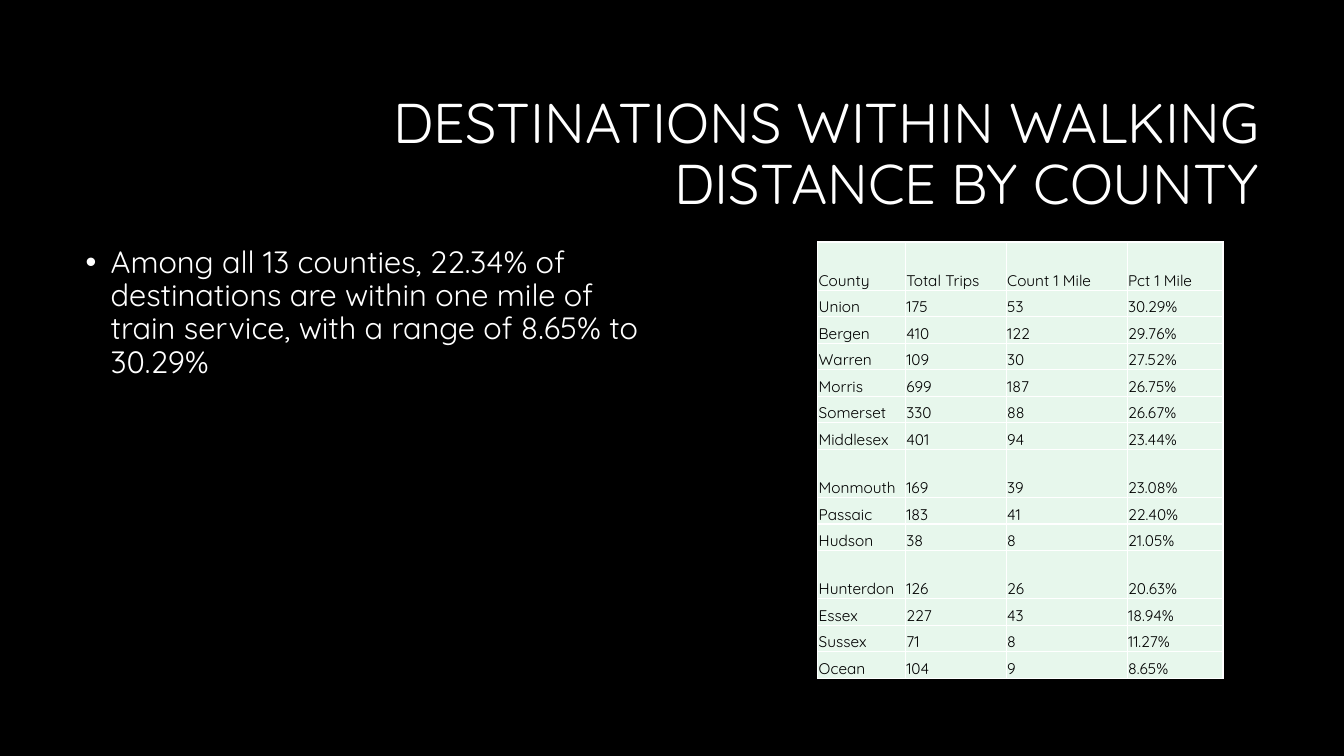
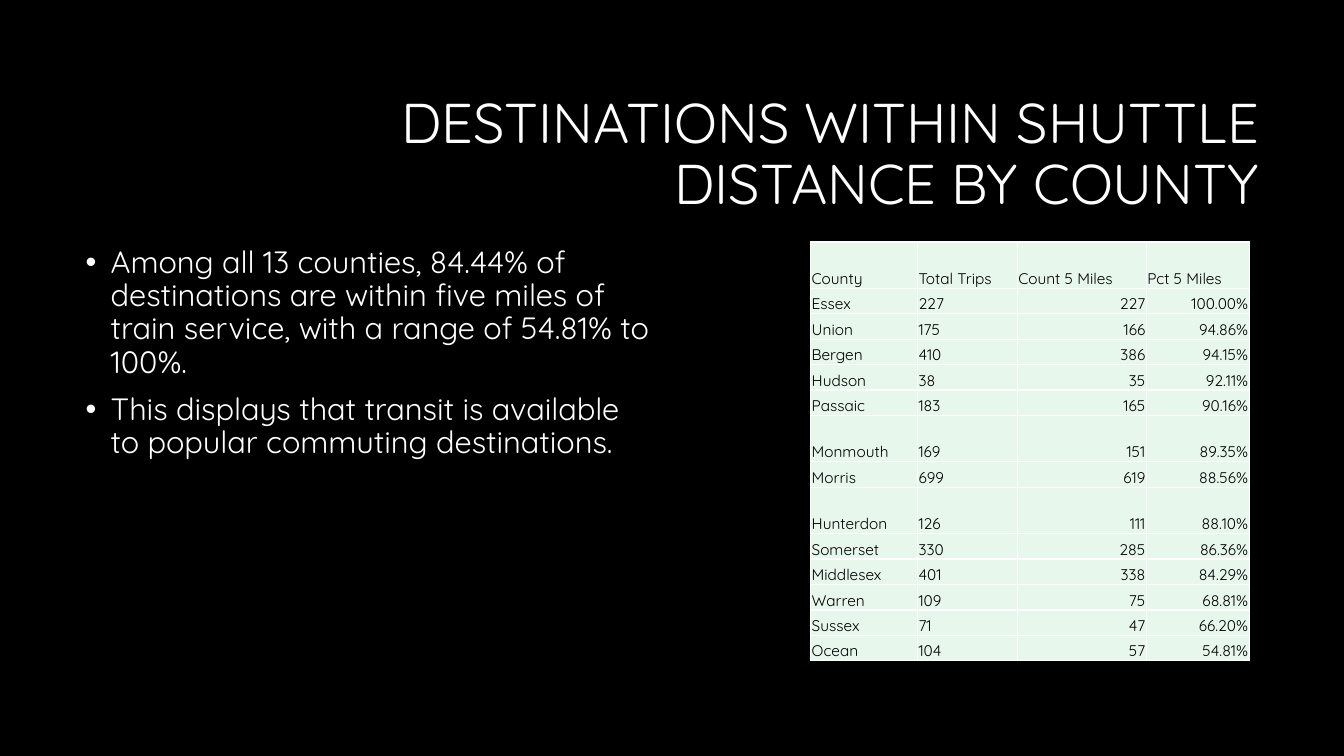
from dataclasses import dataclass

from lxml.etree import SubElement
from pptx import Presentation
from pptx.dml.color import RGBColor
from pptx.enum.text import MSO_ANCHOR, MSO_AUTO_SIZE, PP_ALIGN
from pptx.oxml.ns import qn
from pptx.presentation import Presentation as Deck
from pptx.slide import Slide
from pptx.table import _Cell as Cell
from pptx.text.text import _Paragraph as Paragraph
from pptx.util import Emu, Pt

EMU_PER_PX = 9144


@dataclass(frozen=True)
class Theme:
    font: str = "Quicksand"
    background: RGBColor = RGBColor(0x00, 0x00, 0x00)
    text: RGBColor = RGBColor(0xFF, 0xFF, 0xFF)
    cell_fill: RGBColor = RGBColor(0xE7, 0xF7, 0xEC)
    cell_text: RGBColor = RGBColor(0x00, 0x00, 0x00)
    border: RGBColor = RGBColor(0xFF, 0xFF, 0xFF)
    title_size: int = 40
    body_size: int = 22
    cell_size: int = 11
    border_width: int = 1
    line_spacing: float = 0.9
    bullet_space: int = 10


@dataclass(frozen=True)
class Box:
    left: int
    top: int
    width: int
    height: int


@dataclass(frozen=True)
class CountyTable:
    box: Box
    columns: tuple[int, ...]
    tall_row: int
    headings: tuple[str, ...]
    alignments: tuple[PP_ALIGN, ...]
    counts: dict[str, int]


@dataclass(frozen=True)
class CountySlide:
    title: str
    bullets: tuple[str, ...]
    table: CountyTable


THEME = Theme()
SLIDE_WIDTH, SLIDE_HEIGHT = 1333, 750
TITLE_BOX = Box(317, 84, 942, 141)
BODY_BOX = Box(75, 240, 583, 440)
BULLET_INDENT = 25
CELL_MARGIN = 1
TALL_ROWS = ("County", "Monmouth", "Hunterdon")
LEFT, RIGHT = PP_ALIGN.LEFT, PP_ALIGN.RIGHT

TOTAL_TRIPS = {
    "Union": 175, "Bergen": 410, "Warren": 109, "Morris": 699, "Somerset": 330,
    "Middlesex": 401, "Monmouth": 169, "Passaic": 183, "Hudson": 38,
    "Hunterdon": 126, "Essex": 227, "Sussex": 71, "Ocean": 104,
}

SLIDES = (
    CountySlide(
        "DESTINATIONS WITHIN WALKING DISTANCE BY COUNTY",
        ("Among all 13 counties, 22.34% of destinations are within one mile of "
         "train service, with a range of 8.65% to 30.29%",),
        CountyTable(
            Box(811, 240, 402, 433), (87, 100, 120, 95), 48,
            ("County", "Total Trips", "Count 1 Mile", "Pct 1 Mile"),
            (LEFT, LEFT, LEFT, LEFT),
            {"Union": 53, "Bergen": 122, "Warren": 30, "Morris": 187,
             "Somerset": 88, "Middlesex": 94, "Monmouth": 39, "Passaic": 41,
             "Hudson": 8, "Hunterdon": 26, "Essex": 43, "Sussex": 8, "Ocean": 9},
        ),
    ),
    CountySlide(
        "DESTINATIONS WITHIN SHUTTLE DISTANCE BY COUNTY",
        ("Among all 13 counties, 84.44% of destinations are within five miles of "
         "train service, with a range of 54.81% to 100%.",
         "This displays that transit is available to popular commuting destinations."),
        CountyTable(
            Box(804, 240, 435, 416), (106, 99, 128, 102), 46,
            ("County", "Total Trips", "Count 5 Miles", "Pct 5 Miles"),
            (LEFT, LEFT, RIGHT, RIGHT),
            {"Essex": 227, "Union": 166, "Bergen": 386, "Hudson": 35,
             "Passaic": 165, "Monmouth": 151, "Morris": 619, "Hunterdon": 111,
             "Somerset": 285, "Middlesex": 338, "Warren": 75, "Sussex": 47,
             "Ocean": 57},
        ),
    ),
)


def px(length: float) -> Emu:
    return Emu(round(length * EMU_PER_PX))


def edges(box: Box) -> tuple[Emu, ...]:
    return px(box.left), px(box.top), px(box.width), px(box.height)


def add_run(paragraph: Paragraph, text: str, size: int, color: RGBColor) -> None:
    run = paragraph.add_run()
    run.text = text
    run.font.name = THEME.font
    run.font.size = Pt(size)
    run.font.color.rgb = color


def add_title(slide: Slide, text: str) -> None:
    title = slide.shapes.title
    title.left, title.top, title.width, title.height = edges(TITLE_BOX)
    frame = title.text_frame
    frame.auto_size = MSO_AUTO_SIZE.NONE
    frame.vertical_anchor = MSO_ANCHOR.MIDDLE
    paragraph = frame.paragraphs[0]
    paragraph.alignment = RIGHT
    paragraph.line_spacing = THEME.line_spacing
    add_run(paragraph, text, THEME.title_size, THEME.text)


def set_bullet(paragraph: Paragraph) -> None:
    properties = paragraph._p.get_or_add_pPr()
    properties.set("marL", str(px(BULLET_INDENT)))
    properties.set("indent", str(-px(BULLET_INDENT)))
    SubElement(properties, qn("a:buFont"), typeface="Arial")
    SubElement(properties, qn("a:buChar"), char="•")


def add_bullets(slide: Slide, bullets: tuple[str, ...]) -> None:
    frame = slide.shapes.add_textbox(*edges(BODY_BOX)).text_frame
    frame.word_wrap = True
    for index, text in enumerate(bullets):
        paragraph = frame.add_paragraph() if index else frame.paragraphs[0]
        paragraph.line_spacing = THEME.line_spacing
        paragraph.space_before = Pt(THEME.bullet_space)
        set_bullet(paragraph)
        add_run(paragraph, text, THEME.body_size, THEME.text)


def set_borders(cell: Cell) -> None:
    properties = cell._tc.get_or_add_tcPr()
    for side in ("a:lnL", "a:lnR", "a:lnT", "a:lnB"):
        line = SubElement(properties, qn(side), w=str(Pt(THEME.border_width)))
        fill = SubElement(line, qn("a:solidFill"))
        SubElement(fill, qn("a:srgbClr"), val=str(THEME.border))


def fill_cell(cell: Cell, text: str, alignment: PP_ALIGN) -> None:
    set_borders(cell)
    cell.fill.solid()
    cell.fill.fore_color.rgb = THEME.cell_fill
    cell.margin_left = cell.margin_right = cell.margin_top = px(CELL_MARGIN)
    cell.margin_bottom = px(0)
    cell.vertical_anchor = MSO_ANCHOR.BOTTOM
    paragraph = cell.text_frame.paragraphs[0]
    paragraph.alignment = alignment
    add_run(paragraph, text, THEME.cell_size, THEME.cell_text)


def add_county_table(slide: Slide, county_table: CountyTable) -> None:
    records = [county_table.headings]
    for county, count in county_table.counts.items():
        total = TOTAL_TRIPS[county]
        records.append((county, str(total), str(count), f"{count / total:.2%}"))

    table = slide.shapes.add_table(
        len(records), len(county_table.columns), *edges(county_table.box)
    ).table
    table.first_row = table.horz_banding = False
    for column, width in zip(table.columns, county_table.columns):
        column.width = px(width)

    tall_total = county_table.tall_row * len(TALL_ROWS)
    plain_row = (county_table.box.height - tall_total) / (len(records) - len(TALL_ROWS))
    for row_index, (row, record) in enumerate(zip(table.rows, records)):
        row.height = px(county_table.tall_row if record[0] in TALL_ROWS else plain_row)
        for cell, text, alignment in zip(row.cells, record, county_table.alignments):
            fill_cell(cell, text, alignment if row_index else LEFT)


def add_county_slide(presentation: Deck, content: CountySlide) -> None:
    slide = presentation.slides.add_slide(
        presentation.slide_layouts.get_by_name("Title Only")
    )
    add_title(slide, content.title)
    add_bullets(slide, content.bullets)
    add_county_table(slide, content.table)


def main() -> None:
    presentation = Presentation()
    presentation.slide_width = px(SLIDE_WIDTH)
    presentation.slide_height = px(SLIDE_HEIGHT)
    background = presentation.slide_master.background.fill
    background.solid()
    background.fore_color.rgb = THEME.background
    for content in SLIDES:
        add_county_slide(presentation, content)
    presentation.save("out.pptx")


if __name__ == "__main__":
    main()
